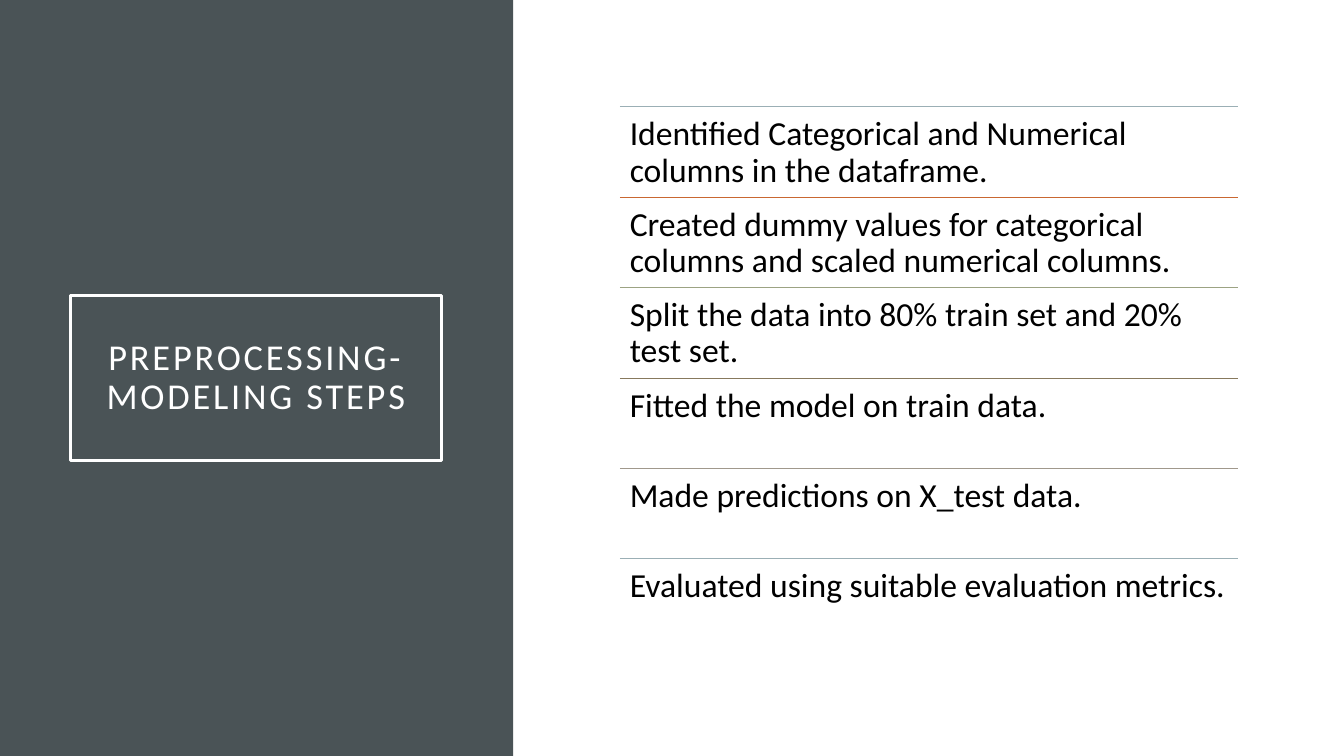
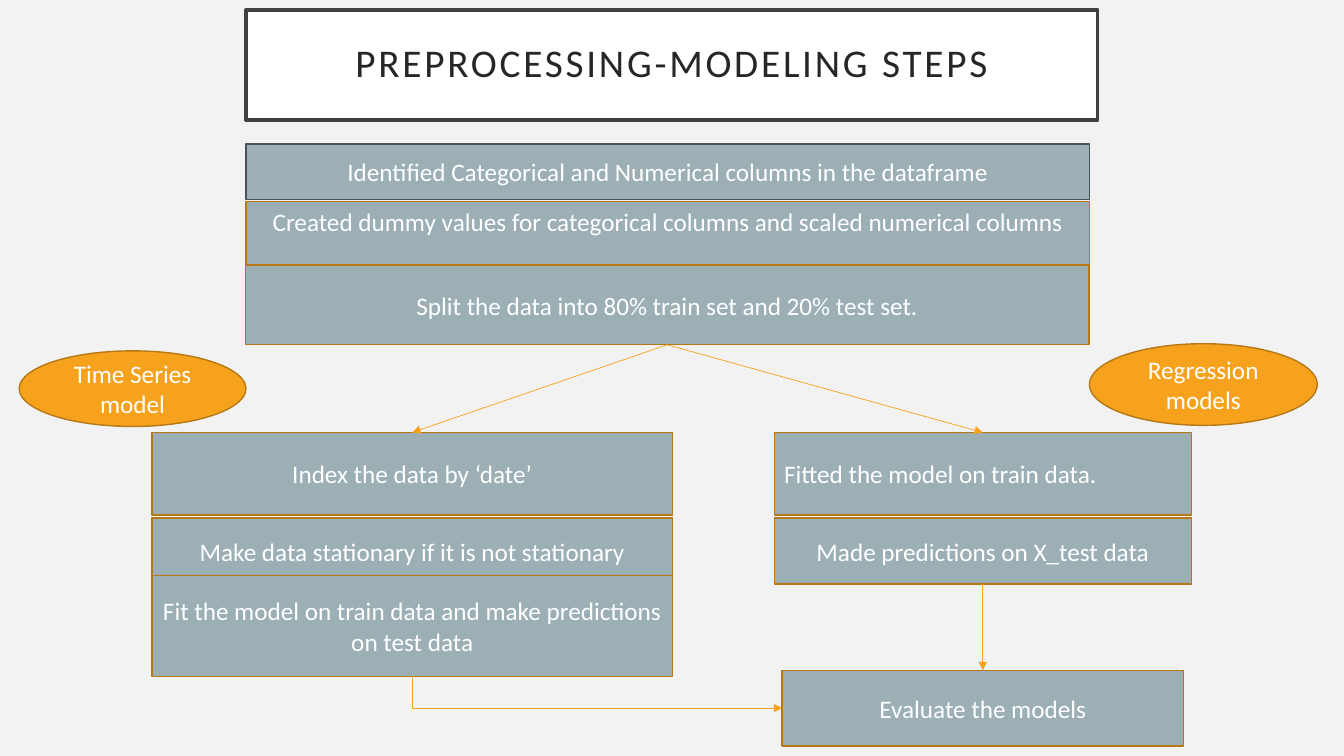
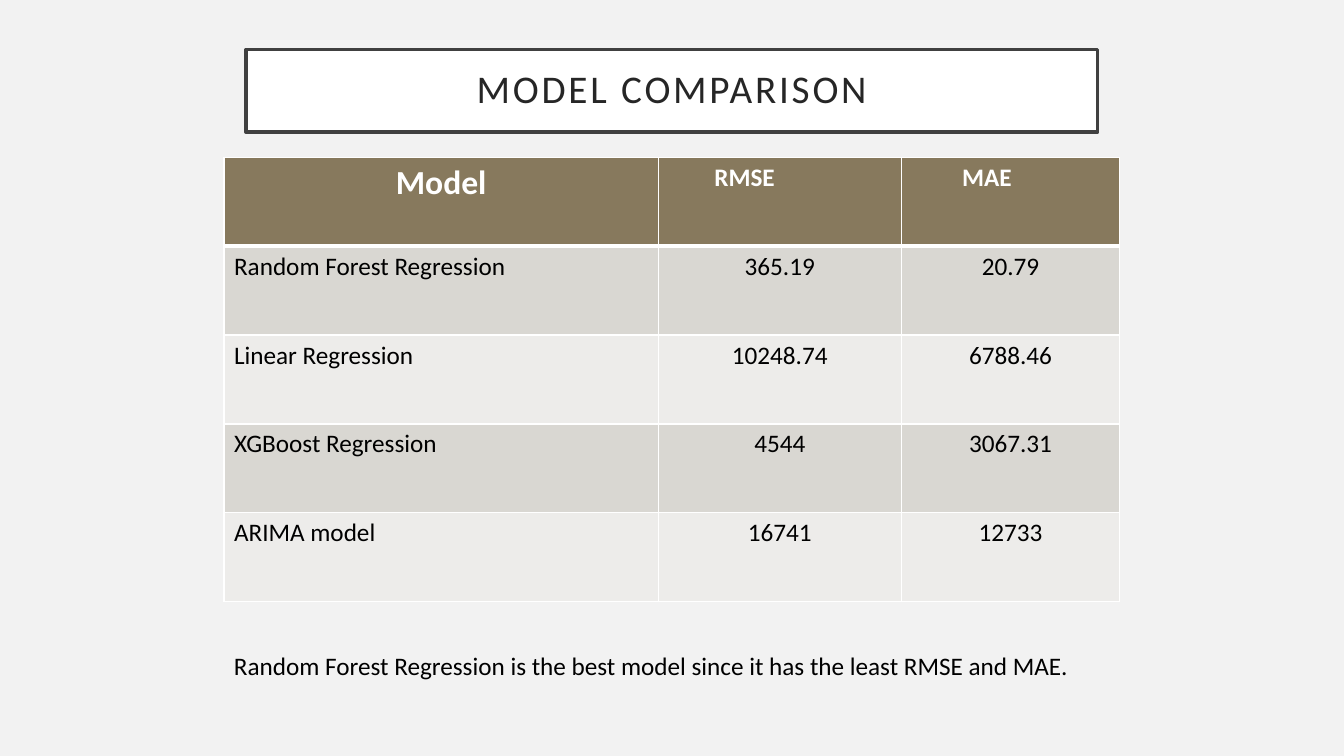
from dataclasses import dataclass
from typing import Any

from lxml import etree
from pptx import Presentation
from pptx.dml.color import RGBColor
from pptx.enum.shapes import MSO_CONNECTOR, MSO_SHAPE
from pptx.enum.text import MSO_ANCHOR, MSO_AUTO_SIZE, PP_ALIGN
from pptx.oxml.ns import qn
from pptx.util import Pt

LEFT, CENTER = PP_ALIGN.LEFT, PP_ALIGN.CENTER
TOP, MIDDLE = MSO_ANCHOR.TOP, MSO_ANCHOR.MIDDLE
RECTANGLE, OVAL = MSO_SHAPE.RECTANGLE, MSO_SHAPE.OVAL
STRAIGHT, ELBOW = MSO_CONNECTOR.STRAIGHT, MSO_CONNECTOR.ELBOW
SITE_TOP, SITE_LEFT, SITE_BOTTOM = 0, 1, 2

WHITE = RGBColor(0xFF, 0xFF, 0xFF)
BLACK = RGBColor(0x00, 0x00, 0x00)
PAPER = RGBColor(0xF2, 0xF2, 0xF2)
TITLE_TEXT = RGBColor(0x26, 0x26, 0x26)
TITLE_LINE = RGBColor(0x40, 0x40, 0x40)
SLATE = RGBColor(0x4A, 0x53, 0x56)
BLUE_GRAY = RGBColor(0x9B, 0xAF, 0xB5)
RUST = RGBColor(0xC9, 0x67, 0x31)
SAGE = RGBColor(0x9C, 0xA3, 0x83)
BROWN = RGBColor(0x87, 0x79, 0x5D)
TAUPE = RGBColor(0xA0, 0x98, 0x8C)
ORANGE = RGBColor(0xF6, 0xA2, 0x1D)
DARK_ORANGE = RGBColor(0xB6, 0x78, 0x15)
BAND_DARK = RGBColor(0xD9, 0xD7, 0xD2)
BAND_LIGHT = RGBColor(0xED, 0xEC, 0xEA)

FONT = "Calibri"
TITLE_ONLY = 5
MARGINS = ("margin_left", "margin_top", "margin_right", "margin_bottom")


@dataclass(frozen=True)
class Box:
    left: float
    top: float
    width: float
    height: float

    def lengths(self) -> tuple:
        return Pt(self.left), Pt(self.top), Pt(self.width), Pt(self.height)


@dataclass(frozen=True)
class Step:
    """A labelled shape of the flow chart."""
    name: str
    text: str
    box: Box
    fill: RGBColor = BLUE_GRAY
    line: RGBColor = DARK_ORANGE
    kind: Any = RECTANGLE
    alignment: Any = CENTER
    anchor: Any = MIDDLE


@dataclass(frozen=True)
class Arrow:
    source: str
    target: str
    target_site: int = SITE_TOP
    kind: Any = STRAIGHT


@dataclass(frozen=True)
class ListRow:
    text: str
    rule: RGBColor


LIST_BOX = Box(442.8, 76.3, 441.4, 64.55)
LIST_ROWS = (
    ListRow("Identified Categorical and Numerical columns in the dataframe.", BLUE_GRAY),
    ListRow("Created dummy values for categorical columns and scaled numerical columns.", RUST),
    ListRow("Split the data into 80% train set and 20% test set.", SAGE),
    ListRow("Fitted the model on train data.", BROWN),
    ListRow("Made predictions on X_test data.", TAUPE),
    ListRow("Evaluated using suitable evaluation metrics.", BLUE_GRAY),
)

STEPS = (
    Step("identify", "Identified Categorical and Numerical columns in the dataframe",
         Box(175.7, 102.8, 602.6, 39.6), line=SLATE),
    Step("encode", "Created dummy values for categorical columns and scaled numerical columns",
         Box(175.7, 144, 602.6, 47.5), anchor=TOP),
    Step("split", "Split the data into 80% train set and 20% test set.",
         Box(175.3, 189.4, 602.6, 56.9)),
    Step("train", "Fitted the model on train data.",
         Box(553, 308.9, 298, 59), alignment=LEFT),
    Step("predict", "Made predictions on X_test data", Box(553, 370.1, 298, 47)),
    Step("index", "Index the data by ‘date’", Box(108.7, 308.9, 371.5, 59)),
    Step("stationary", "Make data stationary if it is not stationary",
         Box(108.7, 370.1, 371.5, 47)),
    Step("forecast", "Fit the model on train data and make predictions on test data",
         Box(108.7, 411.1, 371.5, 72)),
    Step("evaluate", "Evaluate the models", Box(558.7, 478.8, 286.6, 54)),
    Step("time series", "Time Series model", Box(13.7, 250.6, 162, 54), ORANGE, kind=OVAL),
    Step("regression", "Regression models", Box(778.2, 245.5, 162.7, 58.3), ORANGE, kind=OVAL),
)

ARROWS = (
    Arrow("split", "index"),
    Arrow("split", "train"),
    Arrow("predict", "evaluate"),
    Arrow("forecast", "evaluate", SITE_LEFT, ELBOW),
)

TABLE_BOX = Box(160, 112.3, 640, 317.5)
COLUMN_WIDTHS = (310.3, 173.5, 156.2)
HEADER_INDENTS = (7.2, 40, 43.5)
TABLE_ROWS = (
    ("Model", "RMSE", "MAE"),
    ("Random Forest Regression", "365.19", "20.79"),
    ("Linear Regression", "10248.74", "6788.46"),
    ("XGBoost Regression", "4544", "3067.31"),
    ("ARIMA model", "16741", "12733"),
)


def apply(target: Any, formats: dict) -> None:
    for name, value in formats.items():
        setattr(target, name, value)


def write(frame: Any, text: str, size: float, color: RGBColor, alignment: Any = LEFT,
          bold: bool = False, spacing: float = 1.0) -> Any:
    """Fill a text frame with one formatted run and return the run."""
    paragraph = frame.paragraphs[0]
    apply(paragraph, {"alignment": alignment, "line_spacing": spacing})
    run = paragraph.add_run()
    run.text = text
    apply(run.font, {"name": FONT, "size": Pt(size), "bold": bold})
    run.font.color.rgb = color
    return run


def paint(shape: Any, fill: RGBColor | None, line: RGBColor | None, weight: float = 1) -> None:
    if fill is None:
        shape.fill.background()
    else:
        shape.fill.solid()
        shape.fill.fore_color.rgb = fill
    if line is None:
        shape.line.fill.background()
    else:
        shape.line.color.rgb = line
        shape.line.width = Pt(weight)


def set_background(target: Any, color: RGBColor) -> None:
    target.background.fill.solid()
    target.background.fill.fore_color.rgb = color


def add_titled_slide(presentation: Any, text: str, box: Box, size: float = 28,
                     fill: RGBColor | None = WHITE, line: RGBColor = TITLE_LINE,
                     color: RGBColor = TITLE_TEXT) -> Any:
    slide = presentation.slides.add_slide(presentation.slide_layouts[TITLE_ONLY])
    title = slide.shapes.title
    apply(title, dict(zip(("left", "top", "width", "height"), box.lengths())))
    paint(title, fill, line, 2.5)
    frame = title.text_frame
    apply(frame, {"word_wrap": True, "auto_size": MSO_AUTO_SIZE.NONE, "vertical_anchor": MIDDLE})
    apply(frame, dict.fromkeys(MARGINS, Pt(14.4)))
    run = write(frame, text, size, color, CENTER, spacing=0.9)
    run.font._element.set("spc", "200")
    return slide


def add_text(slide: Any, text: str, box: Box, size: float, margin: float | None = None,
             spacing: float = 1.0) -> None:
    frame = slide.shapes.add_textbox(*box.lengths()).text_frame
    frame.word_wrap = True
    if margin is not None:
        apply(frame, dict.fromkeys(MARGINS, Pt(margin)))
    write(frame, text, size, BLACK, spacing=spacing)


def add_line(slide: Any, kind: Any, ends: tuple, color: RGBColor) -> Any:
    connector = slide.shapes.add_connector(kind, *(Pt(value) for value in ends))
    connector.line.color.rgb = color
    connector.line.width = Pt(0.5)
    etree.SubElement(connector._element.spPr, qn("a:effectLst"))
    return connector


def add_step(slide: Any, step: Step) -> Any:
    shape = slide.shapes.add_shape(step.kind, *step.box.lengths())
    shape.shadow.inherit = False
    paint(shape, step.fill, step.line)
    apply(shape.text_frame, {"word_wrap": True, "vertical_anchor": step.anchor})
    write(shape.text_frame, step.text, 18, WHITE, step.alignment)
    return shape


def turn_down_then_right(connector: Any) -> None:
    """Make an elbow leave downwards and arrive from the left, with one bend."""
    width, height = connector.width, connector.height
    shift = (width - height) // 2
    apply(connector, {"left": connector.left + shift, "top": connector.top - shift,
                      "width": height, "height": width})
    properties = connector._element.spPr
    apply_xml = {"rot": "16200000", "flipH": "1"}
    for name, value in apply_xml.items():
        properties.find(qn("a:xfrm")).set(name, value)
    properties.find(qn("a:prstGeom")).set("prst", "bentConnector2")


def add_arrow(slide: Any, arrow: Arrow, shapes: dict) -> None:
    connector = add_line(slide, arrow.kind, (0, 0, 0, 0), ORANGE)
    connector.begin_connect(shapes[arrow.source], SITE_BOTTOM)
    connector.end_connect(shapes[arrow.target], arrow.target_site)
    etree.SubElement(connector.line._get_or_add_ln(), qn("a:tailEnd"), type="triangle")
    if arrow.kind == ELBOW:
        turn_down_then_right(connector)


def set_borders(cell: Any, top: float, bottom: float) -> None:
    properties = cell._tc.get_or_add_tcPr()
    for side, weight in (("L", 1), ("R", 1), ("T", top), ("B", bottom)):
        line = etree.SubElement(properties, qn(f"a:ln{side}"), w=str(Pt(weight)))
        fill = etree.SubElement(line, qn("a:solidFill"))
        etree.SubElement(fill, qn("a:srgbClr"), val=str(WHITE))


def add_comparison_table(slide: Any) -> None:
    table = slide.shapes.add_table(len(TABLE_ROWS), len(COLUMN_WIDTHS), *TABLE_BOX.lengths()).table
    for column, width in zip(table.columns, COLUMN_WIDTHS):
        column.width = Pt(width)
    for row, texts in enumerate(TABLE_ROWS):
        header = row == 0
        band = BROWN if header else BAND_DARK if row % 2 else BAND_LIGHT
        for column, text in enumerate(texts):
            cell = table.cell(row, column)
            set_borders(cell, top=3 if row == 1 else 1, bottom=3 if header else 1)
            cell.fill.solid()
            cell.fill.fore_color.rgb = band
            if header:
                cell.margin_left = Pt(HEADER_INDENTS[column])
            centered = header == (column == 0)
            write(cell.text_frame, text, 24 if header and column == 0 else 18,
                  WHITE if header else BLACK, CENTER if centered else LEFT, bold=header)


def build_list_slide(presentation: Any) -> None:
    slide = add_titled_slide(presentation, "PREPROCESSING-MODELING STEPS",
                             Box(50.4, 211, 265, 118), 26, None, WHITE, WHITE)
    set_background(slide, WHITE)
    panel = slide.shapes.add_shape(RECTANGLE, *Box(0, 0, 366.5, 540).lengths())
    panel.shadow.inherit = False
    paint(panel, SLATE, None)
    slide.shapes.title._element.addprevious(panel._element)
    left, right = LIST_BOX.left, LIST_BOX.left + LIST_BOX.width
    for index, row in enumerate(LIST_ROWS):
        top = LIST_BOX.top + index * LIST_BOX.height
        add_line(slide, STRAIGHT, (left, top, right, top), row.rule)
        add_text(slide, row.text, Box(left, top, LIST_BOX.width, LIST_BOX.height), 24, 7.2, 0.9)


def build_flow_slide(presentation: Any) -> None:
    slide = add_titled_slide(presentation, "PREPROCESSING-MODELING STEPS",
                             Box(175.7, 7.2, 608.4, 78.5))
    shapes = {step.name: add_step(slide, step) for step in STEPS}
    for arrow in ARROWS:
        add_arrow(slide, arrow, shapes)


def build_comparison_slide(presentation: Any) -> None:
    slide = add_titled_slide(presentation, "MODEL COMPARISON", Box(175.7, 35.3, 608.4, 59))
    add_comparison_table(slide)
    add_text(slide, "Random Forest Regression is the best model since it has the least RMSE and MAE.",
             Box(160, 461, 640, 29), 18)


def main() -> None:
    presentation = Presentation()
    apply(presentation, {"slide_width": Pt(960), "slide_height": Pt(540)})
    set_background(presentation.slide_master, PAPER)
    build_list_slide(presentation)
    build_flow_slide(presentation)
    build_comparison_slide(presentation)
    presentation.save("out.pptx")


if __name__ == "__main__":
    main()
